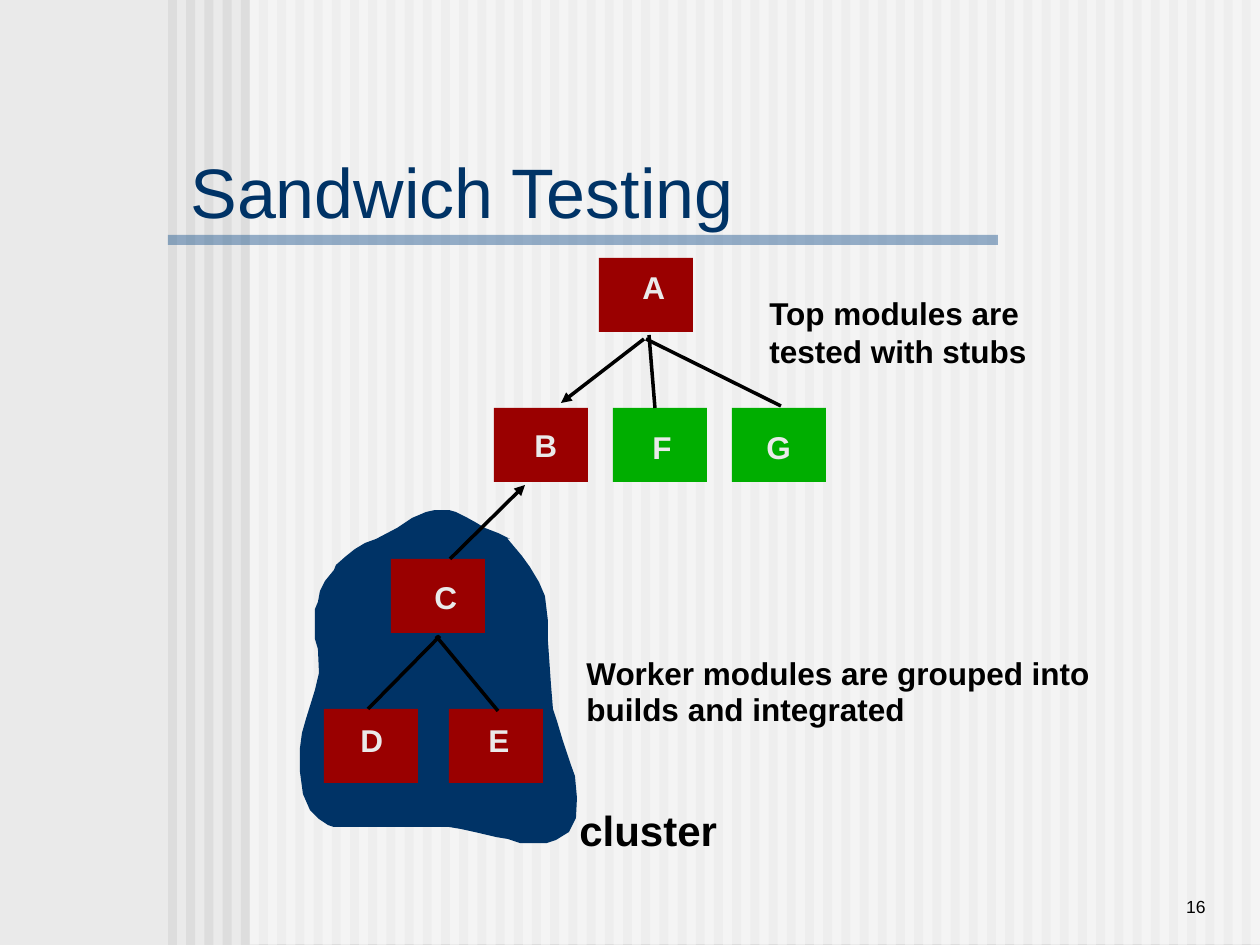
from lxml import etree
from pptx import Presentation
from pptx.dml.color import RGBColor
from pptx.enum.shapes import MSO_CONNECTOR, MSO_SHAPE
from pptx.enum.text import MSO_ANCHOR, MSO_AUTO_SIZE, PP_ALIGN
from pptx.oxml.ns import qn
from pptx.util import Pt

PX = 914400 / 126  # EMU in one px
WIDTH, HEIGHT = 1260, 945

PAPER = RGBColor(0xEA, 0xEA, 0xEA)
STRIPE = RGBColor(0xDD, 0xDD, 0xDD)
WHITE = RGBColor(0xFF, 0xFF, 0xFF)
STEEL = RGBColor(0x33, 0x66, 0x99)
NAVY = RGBColor(0x00, 0x33, 0x66)
RED = RGBColor(0x9A, 0x00, 0x00)
GREEN = RGBColor(0x00, 0xAE, 0x00)
BLACK = RGBColor(0x00, 0x00, 0x00)

# Background stripes
STRIPES, STRIPE_LEFT, STRIPE_WIDTH, STRIPE_PITCH = 60, 168, 9, 18.2

# Modules: letter, box left and top, letter left and top, letter width, fill
MODULE_WIDTH, MODULE_HEIGHT, LETTER_HEIGHT = 94, 74, 50
MODULES = [
    ("A", 599, 258, 630, 262, 48, RED),
    ("B", 494, 408, 522, 420, 48, RED),
    ("C", 391, 559, 422, 572, 48, RED),
    ("D", 324, 709, 348, 715, 48, RED),
    ("E", 449, 709, 476, 715, 47, RED),
    ("F", 613, 408, 640, 422, 45, GREEN),
    ("G", 732, 408, 754, 422, 50, GREEN),
]

# Links: start x and y, end x and y, arrowhead at the end
LINKS = [
    (440, 636, 368, 709, False),
    (436, 636, 498, 711, False),
    (649, 335, 655, 408, False),
    (646, 339, 781, 406, False),
    (644, 339, 561, 403, True),
    (450, 559, 525, 485, True),
]

# Labels: lines, left, top, width, height, size
LABELS = [
    (["Top modules are", "tested with stubs"], 757, 288, 285, 88, 18),
    (["Worker modules are grouped into"], 574, 648, 538, 50, 18),
    (["builds and integrated"], 574, 684, 344, 50, 18),
    (["cluster"], 567, 798, 163, 63, 24),
]

CLUSTER = [
    (510, 539), (498, 533), (485, 528), (475, 522), (466, 517), (456, 512),
    (449, 510), (435, 510), (426, 512), (412, 518), (397, 528), (376, 539),
    (365, 543), (355, 549), (345, 557), (336, 565), (334, 570), (325, 581),
    (320, 591), (318, 602), (315, 609), (315, 639), (318, 649), (319, 673),
    (315, 690), (306, 719), (302, 733), (300, 748), (300, 772), (303, 794),
    (310, 810), (319, 819), (328, 825), (334, 827), (449, 827), (461, 829),
    (479, 833), (496, 837), (508, 839), (520, 843), (547, 843), (556, 840),
    (569, 832), (576, 818), (577, 798), (575, 776), (571, 765), (563, 741),
    (557, 721), (553, 709), (551, 684), (548, 641), (548, 621), (545, 596),
    (539, 582), (530, 567), (522, 556), (507, 538),
]


def emu(*lengths):
    return [round(length * PX) for length in lengths]


def paint(shape, color, opacity=None):
    shape.shadow.inherit = False
    shape.fill.solid()
    shape.fill.fore_color.rgb = color
    shape.line.fill.background()
    if opacity:
        tint = shape.fill._xPr.find(qn("a:solidFill"))[0]
        etree.SubElement(tint, qn("a:alpha"), val=str(opacity * 1000))


def add_rectangle(page, left, top, width, height, color, opacity=None):
    box = page.shapes.add_shape(MSO_SHAPE.RECTANGLE, *emu(left, top, width, height))
    paint(box, color, opacity)


def add_text(page, lines, place, size, color, bold=False, wrap=False,
             anchor=MSO_ANCHOR.TOP, align=PP_ALIGN.LEFT):
    frame = page.shapes.add_textbox(*emu(*place)).text_frame
    frame.word_wrap = wrap
    frame.auto_size = MSO_AUTO_SIZE.NONE if wrap else MSO_AUTO_SIZE.SHAPE_TO_FIT_TEXT
    frame.vertical_anchor = anchor
    style = {"name": "Arial", "size": Pt(size), "bold": bold}
    for number, line in enumerate(lines):
        para = frame.add_paragraph() if number else frame.paragraphs[0]
        para.alignment = align
        span = para.add_run()
        span.text = line
        for key, value in style.items():
            setattr(span.font, key, value)
        span.font.color.rgb = color


def add_link(page, start_x, start_y, end_x, end_y, arrow):
    link = page.shapes.add_connector(
        MSO_CONNECTOR.STRAIGHT, *emu(start_x, start_y, end_x, end_y))
    link.line.width = Pt(2)
    link.line.color.rgb = BLACK
    if arrow:
        etree.SubElement(link.line._get_or_add_ln(), qn("a:tailEnd"), type="triangle")
    etree.SubElement(link._element.spPr, qn("a:effectLst"))


def main():
    deck = Presentation()
    deck.slide_width, deck.slide_height = emu(WIDTH, HEIGHT)
    page = deck.slides.add_slide(deck.slide_layouts[6])
    page.background.fill.solid()
    page.background.fill.fore_color.rgb = PAPER

    # Striped backdrop, veil and title rule
    for number in range(STRIPES):
        left = STRIPE_LEFT + number * STRIPE_PITCH
        add_rectangle(page, left, 0, STRIPE_WIDTH, HEIGHT, STRIPE)
    add_rectangle(page, 250, 0, WIDTH - 250, HEIGHT - 1, WHITE, 50)
    add_rectangle(page, 168, 235, 830, 10, STEEL, 50)

    # Page number and title
    add_text(page, ["16"], (1039, 860, 179, 63), 10, BLACK, wrap=True,
             anchor=MSO_ANCHOR.BOTTOM, align=PP_ALIGN.RIGHT)
    add_text(page, ["Sandwich Testing"], (178, 158, 800, 66), 40, NAVY, wrap=True,
             anchor=MSO_ANCHOR.MIDDLE)

    # Cluster outline
    builder = page.shapes.build_freeform(*CLUSTER[0], scale=PX)
    builder.add_line_segments(CLUSTER[1:], close=True)
    paint(builder.convert_to_shape(), NAVY)

    # Modules, links and labels
    for _, left, top, _, _, _, color in MODULES:
        add_rectangle(page, left, top, MODULE_WIDTH, MODULE_HEIGHT, color)
    for link in LINKS:
        add_link(page, *link)
    for lines, *place, size in LABELS:
        add_text(page, lines, place, size, BLACK, bold=True)
    for letter, _, _, left, top, width, _ in MODULES:
        add_text(page, [letter], (left, top, width, LETTER_HEIGHT), 18, PAPER, bold=True)

    deck.save("out.pptx")


if __name__ == "__main__":
    main()
